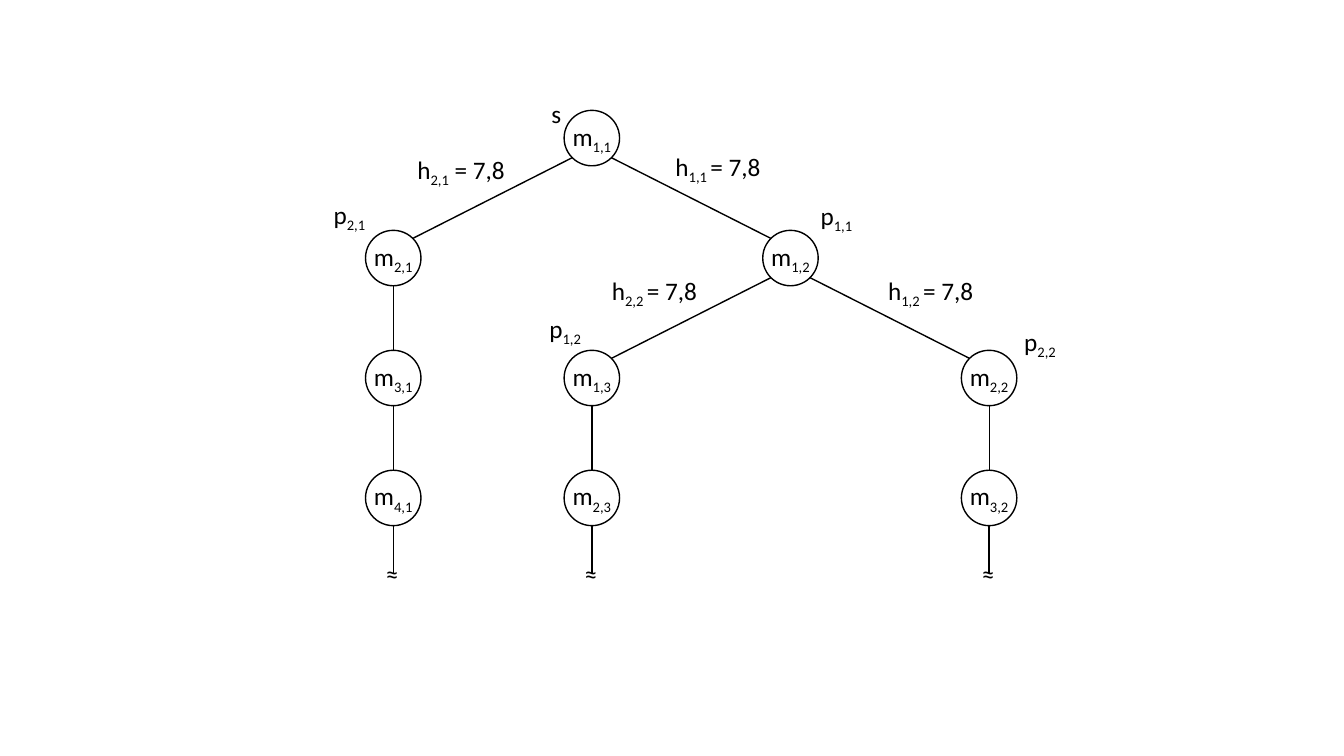
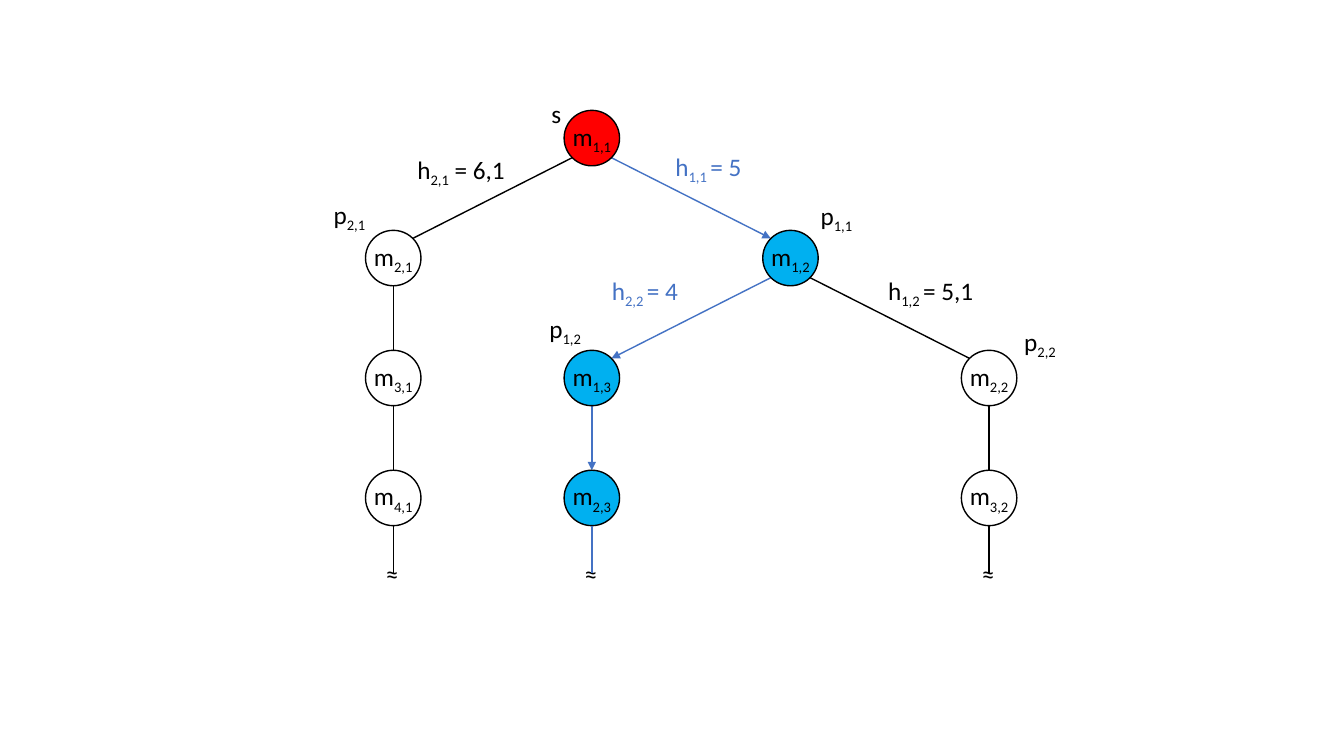
from lxml.etree import SubElement
from pptx import Presentation
from pptx.dml.color import RGBColor
from pptx.enum.shapes import MSO_CONNECTOR as CXN, MSO_SHAPE as SHAPE
from pptx.enum.text import MSO_ANCHOR, MSO_AUTO_SIZE, PP_ALIGN
from pptx.oxml.ns import qn
from pptx.util import Inches, Pt

BLACK, BLUE, RED, CYAN = "000000", "4472C4", "FF0000", "00B0F0"
LEFT, TOP, COL, ROW = 3.9, 1.37, 1.97, 1.19
SIZE, DIAGONAL = 0.55, 0.71
RADIUS = SIZE / 2
STUB_END, TEXT_H = 5.68, 0.4

NODES = {
    "1,1": (1, 0), "2,1": (0, 1), "1,2": (2, 1), "3,1": (0, 2), "1,3": (1, 2),
    "2,2": (3, 2), "4,1": (0, 3), "2,3": (1, 3), "3,2": (3, 3),
}
EDGES = [
    ("1,1", "2,1"), ("1,1", "1,2"), ("1,2", "1,3"), ("1,2", "2,2"),
    ("2,1", "3,1"), ("3,1", "4,1"), ("1,3", "2,3"), ("2,2", "3,2"),
]
OPEN_ENDS = ["4,1", "2,3", "3,2"]
TAGS = [
    ("s", "", 5.37, 0.93, 0.3), ("p", "2,1", 3.21, 1.93, 0.55),
    ("p", "1,1", 8.04, 1.94, 0.55), ("p", "1,2", 5.35, 3.06, 0.55),
    ("p", "2,2", 10.06, 3.19, 0.55),
]
COSTS = [
    ("2,1", " = ", 4.04, 1.48), ("1,1 ", "= ", 6.6, 1.45),
    ("1,2 ", "= ", 8.71, 2.68), ("2,2 ", "= ", 5.97, 2.68),
]
SLIDES = [
    {"costs": ["7,8"] * 4, "path": [], "fills": {}, "thin": [("2,2", "3,2")]},
    {"costs": ["6,1", "5", "5,1", "4"], "path": ["1,1", "1,2", "1,3", "2,3"],
     "fills": {"1,1": RED, "1,2": CYAN, "1,3": CYAN, "2,3": CYAN}, "thin": []},
]


def rgb(value):
    return RGBColor.from_string(value)


def center(node):
    col, row = NODES[node]
    return LEFT + col * COL, TOP + row * ROW


def write(tf, parts, color=BLACK):
    p = tf.paragraphs[0]
    for i, text in enumerate(parts):
        if text:
            r = p.add_run()
            r.text = text
            for name, value in {"size": Pt(18), "name": "Calibri"}.items():
                setattr(r.font, name, value)
            r.font.color.rgb = rgb(color)
            if i == 1:
                r.font._element.set("baseline", "-25000")
    return p


def add_text(s, parts, x, y, w, color=BLACK):
    tf = s.shapes.add_textbox(*map(Inches, (x, y, w, TEXT_H))).text_frame
    tf.word_wrap = False
    tf.auto_size = MSO_AUTO_SIZE.SHAPE_TO_FIT_TEXT
    write(tf, parts, color)


def add_line(s, start, end, color=BLACK, width=1, arrow=False):
    sp = s.shapes.add_connector(CXN.STRAIGHT, *map(Inches, (*start, *end)))
    sp.line.color.rgb = rgb(color)
    sp.line.width = Pt(width)
    if arrow:
        SubElement(sp.line._get_or_add_ln(), qn("a:tailEnd"), type="triangle")
    SubElement(sp._element.spPr, qn("a:effectLst"))


def add_edge(s, parent, child, **style):
    (x1, y1), (x2, y2) = center(parent), center(child)
    side = NODES[child][0] - NODES[parent][0]
    dy = RADIUS * DIAGONAL if side else RADIUS
    dx = dy * (side > 0) - dy * (side < 0)
    add_line(s, (x1 + dx, y1 + dy), (x2 - dx, y2 - dy), **style)


def add_node(s, node, fill):
    x, y = center(node)
    sp = s.shapes.add_shape(
        SHAPE.OVAL, *map(Inches, (x - RADIUS, y - RADIUS, SIZE, SIZE)))
    sp.shadow.inherit = False
    if fill:
        sp.fill.solid()
        sp.fill.fore_color.rgb = rgb(fill)
    else:
        sp.fill.background()
    sp.line.color.rgb = rgb(BLACK)
    sp.line.width = Pt(1)
    tf = sp.text_frame
    layout = {"word_wrap": False, "vertical_anchor": MSO_ANCHOR.MIDDLE,
              "margin_left": 0, "margin_right": 0, "margin_top": 0, "margin_bottom": 0}
    for name, value in layout.items():
        setattr(tf, name, value)
    write(tf, ("m", node)).alignment = PP_ALIGN.CENTER


def add_tree(s, costs, path, fills, thin):
    steps = list(zip(path, path[1:]))
    for edge in EDGES:
        chosen = edge in steps
        add_edge(s, *edge, color=BLUE if chosen else BLACK,
                 width=0.5 if edge in thin else 1, arrow=chosen)
    for node in NODES:
        add_node(s, node, fills.get(node))
    for node in OPEN_ENDS:
        x, y = center(node)
        add_text(s, ["≈"], x - 0.17, 5.49, 0.33)
        add_line(s, (x, y + RADIUS), (x, STUB_END), BLUE if node in path else BLACK)
    for name, index, x, y, w in TAGS:
        add_text(s, (name, index), x, y, w)
    for (index, equals, x, y), cost in zip(COSTS, costs):
        single = len(cost) == 1
        add_text(s, ("h", index, equals + cost), x, y,
                 0.9 if single else 1.09, BLUE if single else BLACK)


def main():
    prs = Presentation()
    prs.slide_width, prs.slide_height = Inches(13.33), Inches(7.5)
    for content in SLIDES:
        add_tree(prs.slides.add_slide(prs.slide_layouts[6]), **content)
    prs.save("out.pptx")


if __name__ == "__main__":
    main()
